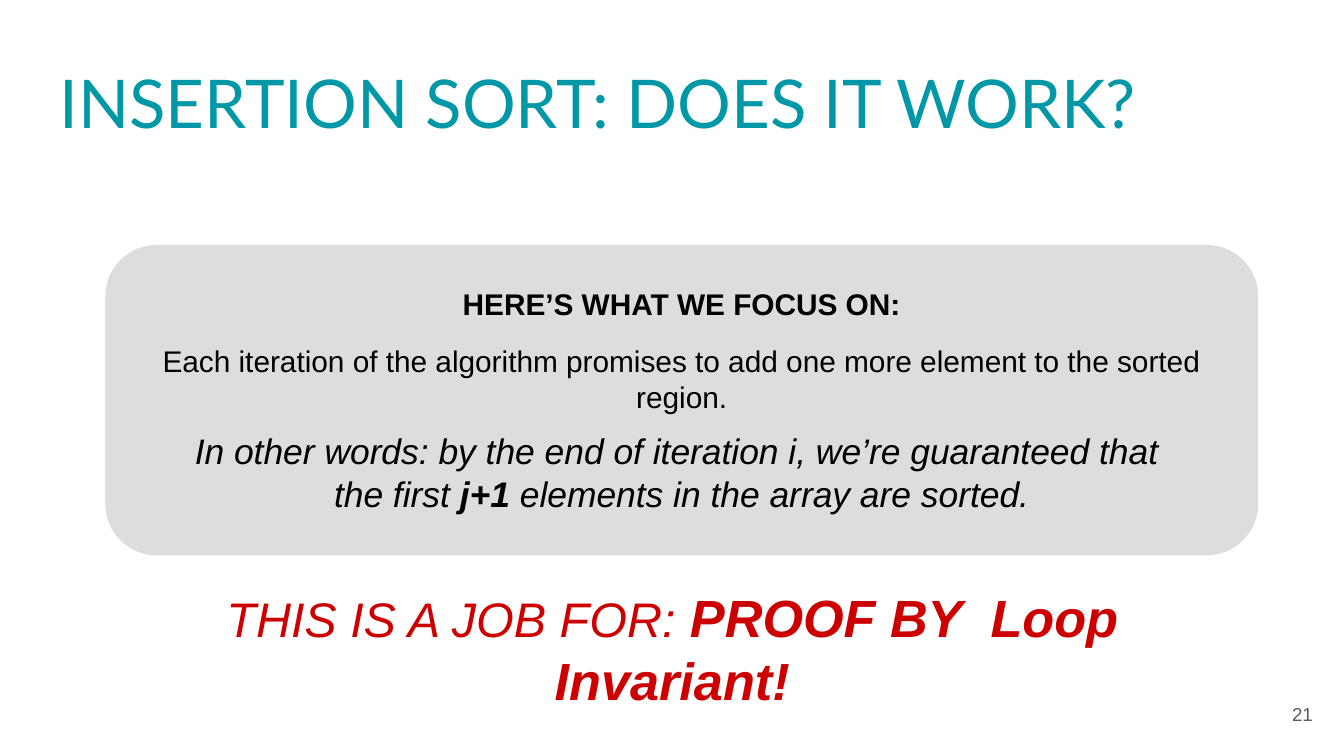
from pptx import Presentation
from pptx.dml.color import RGBColor
from pptx.enum.shapes import MSO_SHAPE
from pptx.enum.text import MSO_ANCHOR, PP_ALIGN
from pptx.util import Cm, Pt

COLORS = {"teal": "0097A7", "panel": "DDDDDD", "black": "000000",
          "red": "CC0000", "gray": "595959", "white": "FFFFFF"}
INSET = Cm(0.25)

# Content: a paragraph has its size, space before, style and spans;
# a span is (text, bold, size or None), and "\n" marks a line break.
TITLE = [dict(size=36, spans=[("INSERTION SORT: DOES IT WORK?", False, None)])]
FOCUS = [
    dict(size=16, spans=[("HERE’S WHAT WE FOCUS ON:", True, None)]),
    dict(size=16, before=11.5, spans=[
        ("Each iteration of the algorithm promises to add one more element "
         "to the sorted region.", False, None)]),
    dict(size=19, before=8, italic=True, spans=[
        ("In other words: by the end of iteration i, we’re guaranteed that "
         "\nthe first ", False, None),
        ("j+1", True, None),
        (" elements in the array are sorted.", False, None)]),
]
CONCLUSION = [dict(size=26, italic=True, spans=[
    ("THIS IS A JOB FOR: ", False, None),
    ("PROOF BY  Loop Invariant!", True, 28)])]
PAGE_NUMBER = [dict(size=10, spans=[("21", False, None)])]


def rgb(name):
    return RGBColor.from_string(COLORS[name])


def add_spans(para, text, bold, size):
    for index, line in enumerate(text.split("\n")):
        if index:
            para.add_line_break()
        span = para.add_run()
        span.text = line
        span.font.bold = bold
        if size:
            span.font.size = Pt(size)


def write(box, paragraphs, color, align, font="Arial"):
    frame = box.text_frame
    frame.word_wrap = True
    frame.vertical_anchor = MSO_ANCHOR.MIDDLE
    frame.margin_left = frame.margin_right = INSET
    frame.margin_top = frame.margin_bottom = INSET
    for index, content in enumerate(paragraphs):
        para = frame.add_paragraph() if index else frame.paragraphs[0]
        para.alignment = align
        para.space_before = Pt(content.get("before", 0))
        para.font.name = font
        para.font.size = Pt(content["size"])
        para.font.italic = content.get("italic", False)
        para.font.color.rgb = rgb(color)
        for span in content["spans"]:
            add_spans(para, *span)


def place(left, top, width, height):
    return Cm(left), Cm(top), Cm(width), Cm(height)


deck = Presentation()
deck.slide_width, deck.slide_height = Cm(25.4), Cm(14.29)
page = deck.slides.add_slide(deck.slide_layouts[6])
shapes = page.shapes

# Title
title = shapes.add_textbox(*place(0.87, 1.03, 23.67, 1.8))
title.line.color.rgb = rgb("white")
title.line.width = Pt(2.25)
write(title, TITLE, "teal", PP_ALIGN.LEFT, font="Lato")

# Focus panel
panel = shapes.add_shape(MSO_SHAPE.ROUNDED_RECTANGLE,
                         *place(1.99, 4.63, 21.79, 5.87))
panel.shadow.inherit = False
panel.fill.solid()
panel.fill.fore_color.rgb = rgb("panel")
panel.line.fill.background()
write(panel, FOCUS, "black", PP_ALIGN.CENTER)

# Conclusion
conclusion = shapes.add_textbox(*place(2.67, 10.97, 20.07, 2.57))
write(conclusion, CONCLUSION, "red", PP_ALIGN.CENTER)

# Page number
number = shapes.add_textbox(*place(23.54, 12.95, 1.52, 1.09))
write(number, PAGE_NUMBER, "gray", PP_ALIGN.RIGHT)

deck.save("out.pptx")
